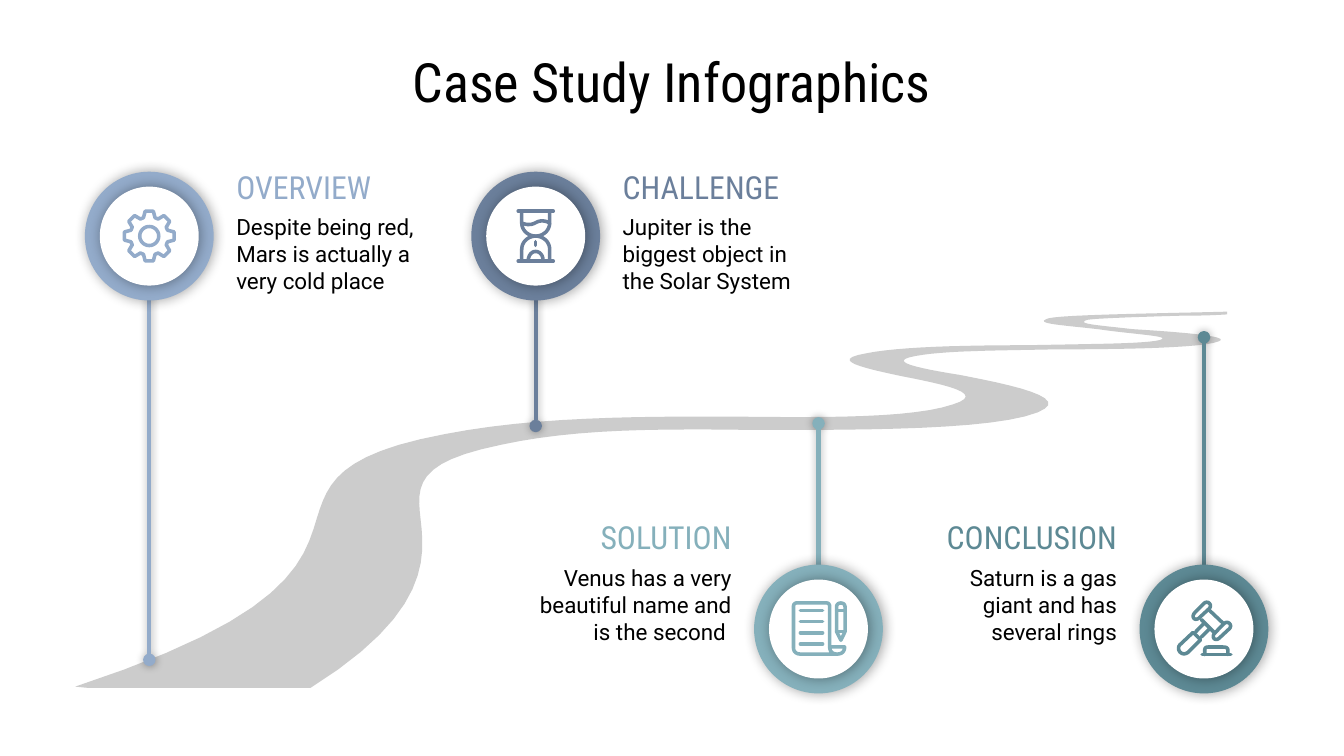
from dataclasses import dataclass
from math import cos, pi, sin

from lxml import etree
from pptx import Presentation
from pptx.dml.color import RGBColor
from pptx.enum.shapes import MSO_CONNECTOR, MSO_SHAPE
from pptx.enum.text import MSO_ANCHOR, PP_ALIGN
from pptx.oxml.ns import qn
from pptx.util import Pt

OVAL, STRAIGHT = MSO_SHAPE.OVAL, MSO_CONNECTOR.STRAIGHT
TOP, MIDDLE = MSO_ANCHOR.TOP, MSO_ANCHOR.MIDDLE
LEFT, CENTER, RIGHT = PP_ALIGN.LEFT, PP_ALIGN.CENTER, PP_ALIGN.RIGHT


@dataclass(frozen=True)
class Theme:
    ink: str = "000000"
    paper: str = "FFFFFF"
    road: str = "CCCCCC"
    heading_font: str = "Roboto Condensed"
    body_font: str = "Roboto"
    title_size: float = 29
    heading_size: float = 17
    body_size: float = 12
    stem_width: float = 2.25
    icon_width: float = 1.9


@dataclass(frozen=True)
class Contour:
    points: list[tuple[float, float]]
    closed: bool


@dataclass(frozen=True)
class Stage:
    heading: str
    body: str
    color: str
    x: float
    y: float
    road_y: float
    icon: list[Contour]


def trace(outline: str) -> list[Contour]:
    contours, points = [], []
    tokens = iter(outline.split())
    for command in tokens:
        if command == "Z":
            contours.append(Contour(points, True))
            points = []
            continue
        count = 3 if command == "C" else 1
        ends = [(float(next(tokens)), float(next(tokens))) for _ in range(count)]
        if command == "M":
            if points:
                contours.append(Contour(points, False))
            points = ends
        elif command == "L":
            points += ends
        else:
            a, b, c, d = points[-1], *ends
            for step in range(1, 13):
                t = step / 12
                s = 1 - t
                points += [tuple(s**3 * a[i] + 3 * s * s * t * b[i] + 3 * s * t * t * c[i] + t**3 * d[i]
                                 for i in (0, 1))]
    if points:
        contours.append(Contour(points, False))
    return contours


def gear(teeth: int = 8) -> list[Contour]:
    tooth = ((-3.1, -9.8), (-2.2, -13.3), (2.2, -13.3), (3.1, -9.8))
    angles = [2 * pi * i / teeth for i in range(teeth)]
    rim = [(x * cos(a) - y * sin(a), x * sin(a) + y * cos(a)) for a in angles for x, y in tooth]
    hub = [(5.1 * cos(pi * i / 18), 5.1 * sin(pi * i / 18)) for i in range(36)]
    return [Contour(rim, True), Contour(hub, True)]


HOURGLASS = trace("""
M -9.4 -13.4 L 9.4 -13.4 M -9.4 13.4 L 9.4 13.4
M -7.5 -13.4 L -7.5 -7.2 C -7.5 -3 -4 0 0 0 C 4 0 7.5 -3 7.5 -7.2 L 7.5 -13.4
M -7.5 13.4 L -7.5 7.2 C -7.5 3 -4 0 0 0 C 4 0 7.5 3 7.5 7.2 L 7.5 13.4
M -7.5 -7 C -5 -6 -2.5 -5.8 0 -7.2 C 2.5 -8.6 5 -8.4 7.5 -7
M -4 13.4 C -4 6.5 4 6.5 4 13.4 M 0 3 L 0 5""")
RULED_LINES = " ".join(f"M -9.7 {y} L 2.2 {y}" for y in (-10, -4, 2, 8))
DOCUMENT = trace(RULED_LINES + """
M 6 9.6 L 6 -12 C 6 -13.3 5.2 -14 4.2 -14 L -11.6 -14 C -12.6 -14 -13.4 -13.3 -13.4 -12
L -13.4 10 C -13.4 12 -12 13.4 -9.6 13.4 L 10 13.4 C 12.5 13.4 14 12 14 9.6
L 6 9.6 C 6 12 7.5 13.4 10 13.4
M 9.7 1.4 L 9.7 -12 C 9.7 -14.6 14.2 -14.6 14.2 -12 L 14.2 1.4 L 12 6 Z
M 9.7 -10 L 14.2 -10 M 9.7 1.4 L 14.2 1.4""")
GAVEL_CAP = trace("M 0 -13.7 L -5 -8.6 C -7 -6.5 -5 -4 -2.7 -5.8 L 2.9 -11 C 4.6 -13 2 -15.5 0 -13.7 Z")
GAVEL = [Contour([(x + shift, y + shift) for x, y in cap.points], True)
         for cap in GAVEL_CAP for shift in (0, 10.8)] + trace("""
M -1.4 -5 L 5.8 2.2 M 2.9 -10 L 10.1 -3.2 M 0 -2.9 L -4.3 1.4 M 2.9 0 L -1.4 4.3
M -5.8 1.8 L -13 8.6 C -15 11 -12 15 -8.6 12.6 L -1.8 5.8 Z
M -1 13.7 L 14.4 13.7
M 0.4 13.7 L 0.4 11.5 C 0.4 10 1.2 9.7 2.2 9.7 L 10.1 9.7 C 11.8 9.7 12.8 10 12.8 11.5 L 12.8 13.7""")
ROAD_LEFT_EDGE = """
M 657.4 167 C 628.6 167.8 569.5 168.5 561.6 170.6 C 553 173.5 569.5 174.2 588.2 176.4
C 607.7 179.3 628.6 180 621.4 182.2 C 613.4 184.3 582.5 184.3 549.4 185
C 517 185 481 185.8 463.7 189.4 C 443.5 193 463 197.3 483.1 201.6
C 506.2 206 529.2 211 510.5 216.7 C 489.6 223.9 443.5 223.9 391.7 223.2
C 341.3 223.2 286.6 223.2 238.3 232.6 C 180.7 243.4 175.7 259.2 169.9 277.2
C 162.7 301.7 154.1 330.5 40.3 367.9 """
ROAD_RIGHT_EDGE = """
L 47.5 368.6 L 166.3 368.6
C 231.1 328.3 227.5 298.1 225.4 278.6 C 223.2 259.9 222.5 247.7 268.6 238.3
C 308.2 229.7 352.8 229.7 406.1 230.4 C 463.7 230.4 532.1 230.4 555.8 221
C 576 213.1 540 205.9 514.1 200.9 C 491.8 197.3 474.5 193.7 490.3 190.8
C 505.4 187.9 532.1 187.9 565.9 187.2 C 601.9 187.2 644.4 186.5 653 182.9
C 660.2 180 629.3 177.8 607 176.4 C 587.5 174.2 576 173.5 582.5 171.4
C 586.8 170.6 607.7 169.9 632.2 169.2 C 636.5 169.2 645.8 169.2 657.4 168.5 Z"""
ROAD = trace(ROAD_LEFT_EDGE + ROAD_RIGHT_EDGE)

THEME = Theme()
UPPER, LOWER = 126.5, 337
STAGES = (
    Stage("OVERVIEW", "Despite being red, Mars is actually a very cold place", "93ABCA", 80, UPPER, 353.5, gear()),
    Stage("CHALLENGE", "Jupiter is the biggest object in the Solar System", "6B7F9B", 287, UPPER, 228.2, HOURGLASS),
    Stage("SOLUTION", "Venus has a very beautiful name and is the second ", "85B0BB", 438.5, LOWER, 226.8, DOCUMENT),
    Stage("CONCLUSION", "Saturn is a gas giant and has several rings", "5D8994", 645, LOWER, 180.7, GAVEL),
)


def add_shadow(shape, blur: float, distance: float) -> None:
    effects = etree.SubElement(shape._element.spPr, qn("a:effectLst"))
    shadow = etree.SubElement(effects, qn("a:outerShdw"), blurRad=str(Pt(blur)), dist=str(Pt(distance)),
                              dir="0", algn="ctr", rotWithShape="0")
    color = etree.SubElement(shadow, qn("a:srgbClr"), val=THEME.ink)
    etree.SubElement(color, qn("a:alpha"), val="34000")


def add_outline(page, contours: list[Contour], color: str, x: float = 0, y: float = 0, stroked: bool = False) -> None:
    builder = None
    for contour in contours:
        start, *rest = [(Pt(x + px), Pt(y + py)) for px, py in contour.points]
        if builder is None:
            builder = page.shapes.build_freeform(*start, scale=1.0)
        else:
            builder.move_to(*start)
        builder.add_line_segments(rest, close=contour.closed)
    shape = builder.convert_to_shape()
    shape.shadow.inherit = False
    if stroked:
        shape.fill.background()
        shape.line.color.rgb = RGBColor.from_string(color)
        shape.line.width = Pt(THEME.icon_width)
        line = shape.line._get_or_add_ln()
        line.set("cap", "rnd")
        etree.SubElement(line, qn("a:round"))
    else:
        shape.fill.solid()
        shape.fill.fore_color.rgb = RGBColor.from_string(color)
        shape.line.fill.background()


def add_disc(page, x: float, y: float, size: float, color: str) -> None:
    disc = page.shapes.add_shape(OVAL, Pt(x - size / 2), Pt(y - size / 2), Pt(size), Pt(size))
    disc.fill.solid()
    disc.fill.fore_color.rgb = RGBColor.from_string(color)
    disc.line.fill.background()
    add_shadow(disc, 6.8, 0.8)


def add_stem(page, x: float, start_y: float, end_y: float, color: str) -> None:
    stem = page.shapes.add_connector(STRAIGHT, Pt(x), Pt(start_y), Pt(x), Pt(end_y))
    stem.line.color.rgb = RGBColor.from_string(color)
    stem.line.width = Pt(THEME.stem_width)
    etree.SubElement(stem.line._get_or_add_ln(), qn("a:tailEnd"), type="oval", w="med", len="med")
    add_shadow(stem, 4.5, 0)


def add_text(page, text: str, x: float, y: float, width: float, height: float,
             font: str, size: float, color: str, align, anchor) -> None:
    box = page.shapes.add_textbox(Pt(x), Pt(y), Pt(width), Pt(height))
    frame = box.text_frame
    frame.word_wrap = True
    frame.vertical_anchor = anchor
    frame.margin_left = frame.margin_top = frame.margin_right = frame.margin_bottom = Pt(7.2)
    para = frame.paragraphs[0]
    para.text = text
    para.alignment = align
    para.font.name = font
    para.font.size = Pt(size)
    para.font.color.rgb = RGBColor.from_string(color)


def add_stage(page, stage: Stage) -> None:
    upper = stage.y == UPPER
    add_stem(page, stage.x, stage.y + (26.5 if upper else -26.5), stage.road_y, stage.color)
    add_disc(page, stage.x, stage.y, 69, stage.color)
    add_disc(page, stage.x, stage.y, 53, THEME.paper)
    width = 121.7
    left = stage.x + 39.5 if upper else stage.x - 39.5 - width
    top = stage.y - (38.7 if upper else 61.2)
    align = LEFT if upper else RIGHT
    add_text(page, stage.body, left, top + 19.4, width, 75,
             THEME.body_font, THEME.body_size, THEME.ink, align, TOP)
    add_text(page, stage.heading, left, top, width, 24,
             THEME.heading_font, THEME.heading_size, stage.color, align, MIDDLE)
    add_outline(page, stage.icon, stage.color, stage.x, stage.y, stroked=True)


def main() -> None:
    deck = Presentation()
    deck.slide_width, deck.slide_height = Pt(720), Pt(405)
    page = deck.slides.add_slide(deck.slide_layouts[6])
    add_text(page, "Case Study Infographics", 36, 32.4, 648, 21.6,
             THEME.heading_font, THEME.title_size, THEME.ink, CENTER, MIDDLE)
    add_outline(page, ROAD, THEME.road)
    for stage in STAGES:
        add_stage(page, stage)
    deck.save("out.pptx")


if __name__ == "__main__":
    main()
